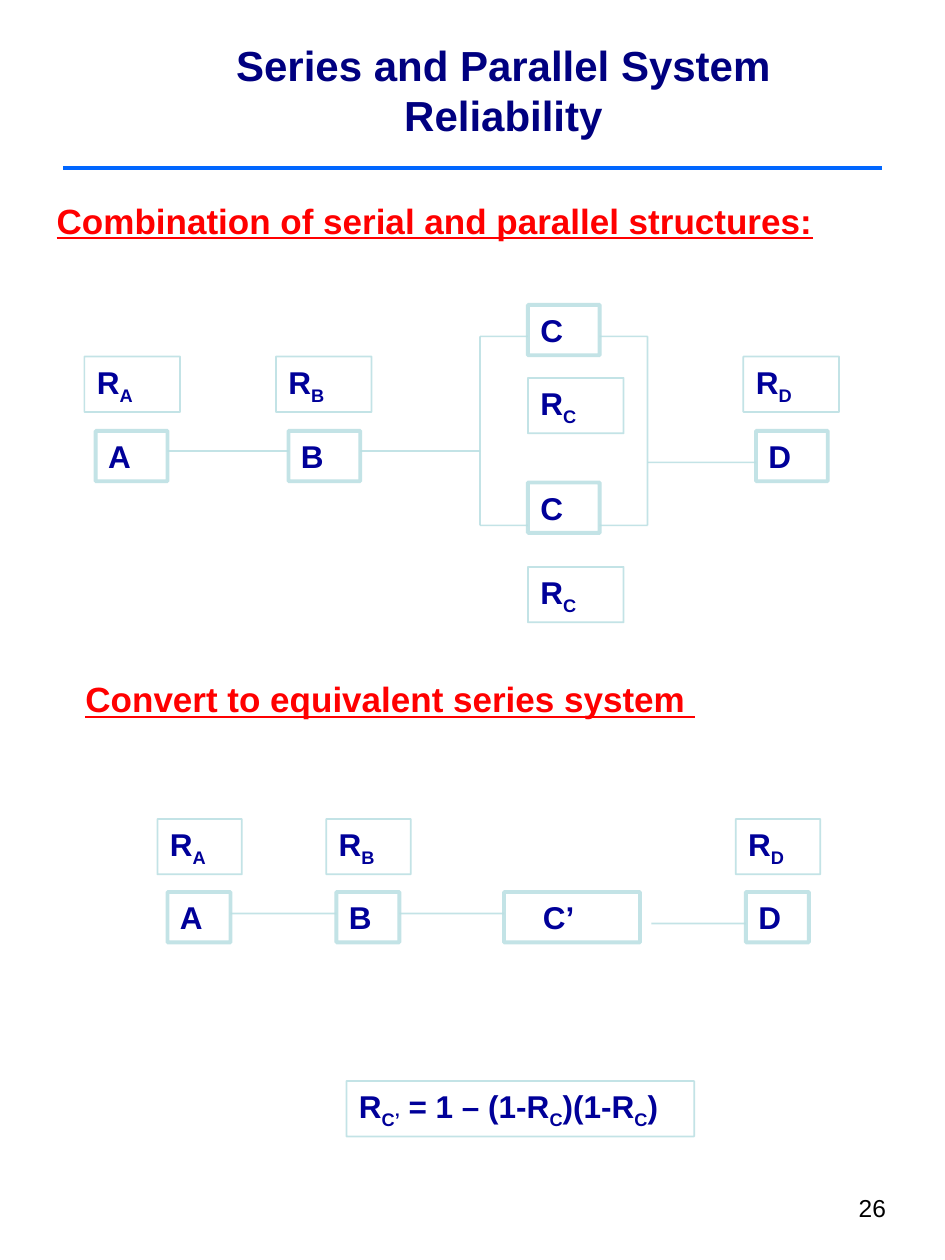
from lxml import etree
from pptx import Presentation
from pptx import util as u
from pptx.dml.color import RGBColor
from pptx.enum import shapes, text
from pptx.oxml import ns

NAVY, RED, BLACK = "000080", "FF0000", "000000"
INK, TEAL, RULE_BLUE = "000099", "BBE0E3", "0066FF"
LABEL_H, BLOCK_H = 0.44, 0.4


def color(code):
    return RGBColor.from_string(code)


class Sheet:
    """Style and drawing methods for the current slide."""
    font = "Arial"
    insets = (0.1, 0.05, 0.1, 0.05)

    def __init__(self, page):
        self.page = page
        self.target = page.shapes

    def group(self):
        self.target = self.page.shapes.add_group_shape().shapes

    def ungroup(self):
        self.target = self.page.shapes

    def stroke(self, item, code, width, alpha=None):
        item.line.color.rgb = color(code)
        item.line.width = u.Pt(width)
        if alpha:
            fill = item.line._ln.find(ns.qn("a:solidFill"))
            etree.SubElement(fill[0], ns.qn("a:alpha"), val=str(alpha * 1000))

    def fill_text(self, box, words, size, code, insets=insets, anchor="TOP",
                  align="LEFT", margin=0, indent=0, **looks):
        """Fill a frame; parts between bars become subscripts."""
        frame = box.text_frame
        left, top, right, bottom = (u.Inches(v) for v in insets)
        frame_format = {
            "word_wrap": True, "margin_left": left, "margin_top": top,
            "margin_right": right, "margin_bottom": bottom,
            "vertical_anchor": getattr(text.MSO_ANCHOR, anchor)}
        for name, value in frame_format.items():
            setattr(frame, name, value)
        para = frame.paragraphs[0]
        para.alignment = getattr(text.PP_ALIGN, align)
        if margin or indent:
            props = para._p.get_or_add_pPr()
            props.set("marL", str(u.Inches(margin)))
            props.set("indent", str(u.Inches(indent)))
        span_format = {"name": self.font, "size": u.Pt(size), **looks}
        for place, part in enumerate(words.split("|")):
            if not part:
                continue
            span = para.add_run()
            span.text = part
            for name, value in span_format.items():
                setattr(span.font, name, value)
            span.font.color.rgb = color(code)
            if place % 2:
                span._r.get_or_add_rPr().set("baseline", "-25000")
        return para

    def note(self, at, words, size, code, **style):
        box = self.target.add_textbox(*(u.Inches(v) for v in at))
        return self.fill_text(box, words, size, code, **style)

    def box(self, at, words, width=1, margin=0):
        box = self.target.add_shape(shapes.MSO_SHAPE.RECTANGLE,
                                    *(u.Inches(v) for v in at))
        box.shadow.inherit = False
        box.fill.background()
        self.stroke(box, TEAL, width, 87)
        para = self.fill_text(box, words, 18, INK, margin=margin, bold=True)
        para.space_before = u.Pt(11.2)

    def block(self, x, y, w, words, margin=0):
        self.box((x, y, w, BLOCK_H), words, 2.25, margin)

    def label(self, x, y, w, name):
        self.box((x, y, w, LABEL_H), f"R|{name}|")

    def line(self, x1, y1, x2, y2, code=TEAL, width=1, alpha=87):
        wire = self.target.add_connector(
            shapes.MSO_CONNECTOR.STRAIGHT,
            *(u.Inches(v) for v in (x1, y1, x2, y2)))
        self.stroke(wire, code, width, alpha)
        etree.SubElement(wire._element.spPr, ns.qn("a:effectLst"))


def combined_system(sheet):
    sheet.group()
    w, row, c_left = 0.57, 3.42, 4.19
    a, b, d = 0.76, 2.29, 6.0
    fork, join = 3.81, 5.14
    upper, lower = 2.67, 4.17

    # Components
    for name, x, y in (("A", a, row), ("B", b, row), ("C", c_left, 2.42),
                       ("C", c_left, 3.83), ("D", d, row)):
        sheet.block(x, y, w, name)

    # Series wires, then the two parallel branches
    sheet.line(a + w, 3.58, b, 3.58)
    sheet.line(b + w, 3.58, fork, 3.58)
    sheet.line(join, 3.67, d, 3.67)
    for rail, start, end in ((fork, fork, c_left), (join, c_left + w, join)):
        sheet.line(rail, upper, rail, lower)
        for y in (upper, lower):
            sheet.line(start, y, end, y)

    # Reliabilities
    for name, x, y in (("A", 0.67, 2.83), ("B", 2.19, 2.83), ("C", c_left, 3),
                       ("D", 5.9, 2.83), ("C", c_left, 4.5)):
        sheet.label(x, y, 0.76, name)
    sheet.ungroup()


def series_system(sheet):
    sheet.group()
    w, row = 0.5, 7.08
    a, b, c, d = 1.33, 2.67, 4.0, 5.92
    for name, x in (("A", a), ("B", b), ("D", d)):
        sheet.block(x, row, w, name)
        sheet.label(x - 0.08, 6.5, 0.67, name)
    sheet.block(c, row, 1.08, "C’", margin=0.21)
    for start, end, y in ((a + w, b, 7.25), (b + w, c, 7.25), (5.17, d, 7.33)):
        sheet.line(start, y, end, y)
    sheet.ungroup()


def main():
    deck = Presentation()
    deck.slide_width, deck.slide_height = u.Inches(7.5), u.Inches(10)
    sheet = Sheet(deck.slides.add_slide(deck.slide_layouts[6]))

    # Title, rule and page number
    sheet.line(0.5, 1.33, 7, 1.33, RULE_BLUE, 2.25, None)
    sheet.note((5.38, 9.42, 1.75, 0.38), "26", 14, BLACK, align="RIGHT")
    sheet.note((1.42, 0.25, 5.15, 0.9),
               "Series and Parallel System Reliability", 24, NAVY,
               insets=(0, 0.02, 0, 0), anchor="MIDDLE", align="CENTER",
               bold=True)

    # Section headings
    heading = {"bold": True, "underline": True}
    para = sheet.note((0.25, 1.56, 6.91, 7.53),
                      "Combination of serial and parallel structures:",
                      20, RED, insets=(0, 0.02, 0, 0), margin=0.7,
                      indent=-0.5, **heading)
    para.space_after = u.Pt(14.3)
    para = sheet.note((0.58, 5.33, 6.5, 3.18),
                      "Convert to equivalent series system ", 20, RED,
                      margin=0.38, indent=-0.38, **heading)
    para.space_before = u.Pt(5)

    # Formula and diagrams
    sheet.box((2.75, 8.58, 2.76, LABEL_H), "R|C’| = 1 – (1-R|C|)(1-R|C|)")
    combined_system(sheet)
    series_system(sheet)
    deck.save("out.pptx")


if __name__ == "__main__":
    main()
